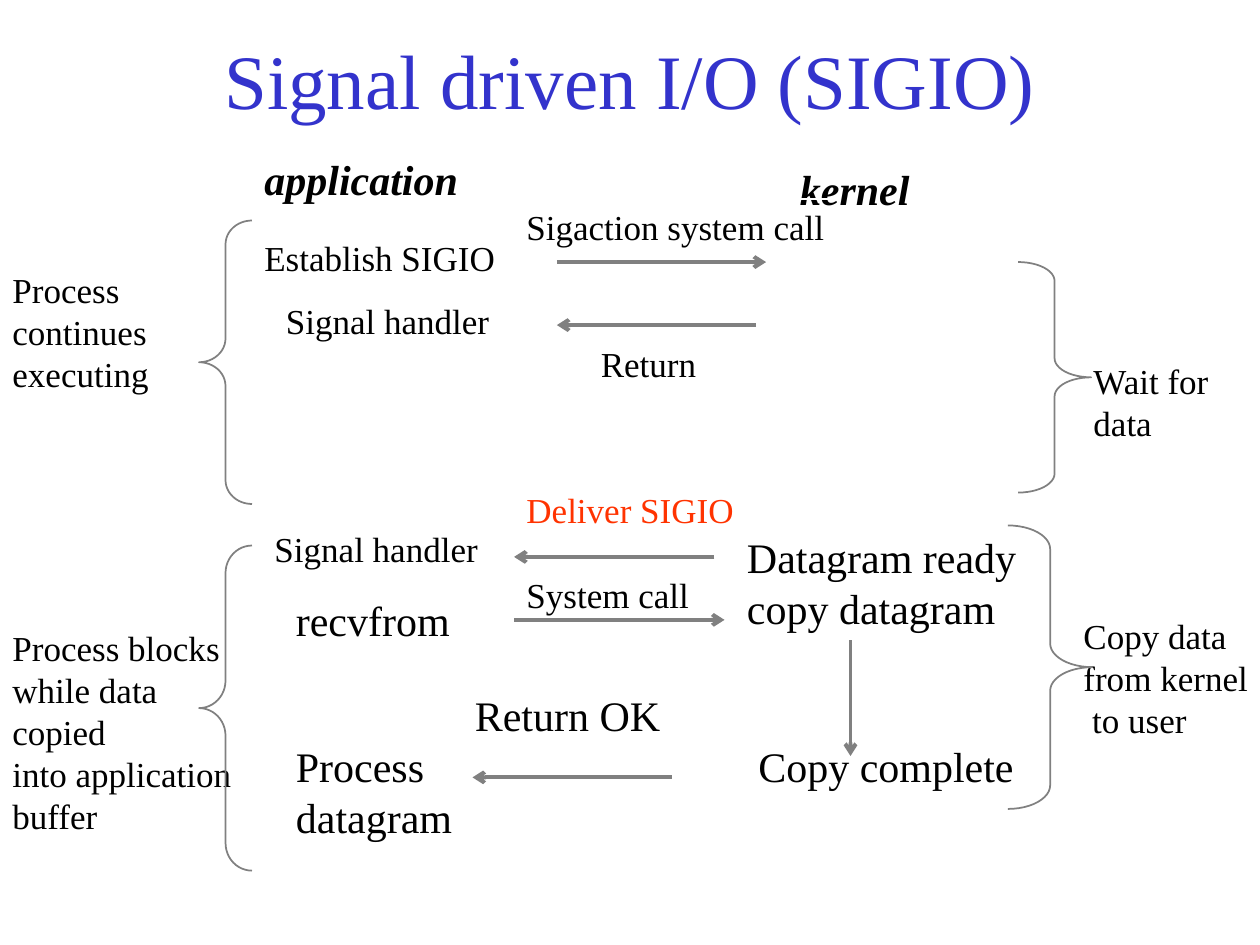
from dataclasses import dataclass

from lxml.etree import SubElement
from pptx import Presentation
from pptx.dml.color import RGBColor
from pptx.enum.shapes import MSO_CONNECTOR as Connector, MSO_SHAPE as Shape
from pptx.enum.text import MSO_ANCHOR as Anchor, MSO_AUTO_SIZE as AutoSize, PP_ALIGN as Align
from pptx.oxml.ns import qn
from pptx.util import Inches, Pt


@dataclass(frozen=True)
class Theme:
    font: str = "Times New Roman"
    title_color: RGBColor = RGBColor(0x33, 0x33, 0xCC)
    text_color: RGBColor = RGBColor(0, 0, 0)
    alert_color: RGBColor = RGBColor(0xFF, 0x33, 0)
    line_color: RGBColor = RGBColor(0x80, 0x80, 0x80)
    border_color: RGBColor = RGBColor(0xFF, 0xFF, 0xFF)
    title_size: int = 44
    large: int = 24
    small: int = 20
    thin: float = 1
    thick: float = 2.25


THEME = Theme()
HEADING = {"bold": True, "italic": True}
ALERT = {"color": THEME.alert_color}

# left, top, width, size, text, extra format
LABELS = [
    (2, 1.17, 1.75, THEME.large, "application", HEADING),
    (6.25, 1.25, 1.09, THEME.large, "kernel", HEADING),
    (4.08, 1.58, 2.57, THEME.small, "Sigaction system call", {}),
    (2, 1.83, 2.04, THEME.small, "Establish SIGIO", {}),
    (2.17, 2.33, 1.82, THEME.small, "Signal handler", {}),
    (4.67, 2.67, 1.04, THEME.small, "Return", {}),
    (4.08, 3.83, 1.9, THEME.small, "Deliver SIGIO", ALERT),
    (2.08, 4.14, 1.82, THEME.small, "Signal handler", {}),
    (5.83, 4.17, 2.35, THEME.large, "Datagram ready\ncopy datagram", {}),
    (4.08, 4.5, 1.5, THEME.small, "System call", {}),
    (2.25, 4.67, 1.44, THEME.large, "recvfrom", {}),
    (3.67, 5.42, 1.69, THEME.large, "Return OK", {}),
    (2.25, 5.83, 1.45, THEME.large, "Process\ndatagram", {}),
    (5.92, 5.83, 2.24, THEME.large, "Copy complete", {}),
    (0, 2.08, 1.35, THEME.small, "Process\ncontinues\nexecuting", {}),
    (0, 4.92, 1.95, THEME.small,
     "Process blocks\nwhile data\ncopied\ninto application\nbuffer", {}),
    (8.58, 2.8, 1.22, THEME.small, "Wait for\ndata", {}),
    (8.5, 4.83, 1.52, THEME.small, "Copy data\nfrom kernel\n to user", {}),
]

# preset, left, top, width, height, curl
BRACES = [
    (Shape.LEFT_BRACE, 1.58, 1.75, 0.42, 2.25, 0.45),
    (Shape.LEFT_BRACE, 1.58, 4.33, 0.42, 2.58, 0.52),
    (Shape.RIGHT_BRACE, 8.08, 2.08, 0.58, 1.83, 0.26),
    (Shape.RIGHT_BRACE, 8, 4.17, 0.67, 2.25, 0.28),
]

# start x, start y, end x, end y
ARROWS = [
    (4.42, 2.08, 6.08, 2.08),
    (6, 2.58, 4.42, 2.58),
    (5.67, 4.42, 4.08, 4.42),
    (4.08, 4.92, 5.75, 4.92),
    (6.75, 5.08, 6.75, 6),
    (5.33, 6.17, 3.75, 6.17),
]


def write_text(shape, text, size, color=THEME.text_color, align=Align.LEFT, **extra):
    shape.text_frame.text = text
    font_format = {"name": THEME.font, "size": Pt(size), **extra}
    for paragraph in shape.text_frame.paragraphs:
        paragraph.alignment = align
        for run in paragraph.runs:
            run.font.color.rgb = color
            for name, value in font_format.items():
                setattr(run.font, name, value)


def set_line(line, color, width):
    line.color.rgb = color
    line.width = Pt(width)


def add_outline(slide, preset, box, color):
    shape = slide.shapes.add_shape(preset, *map(Inches, box))
    shape.shadow.inherit = False
    shape.fill.background()
    set_line(shape.line, color, THEME.thin)
    return shape


def add_title(slide, text):
    title = slide.shapes.add_textbox(Inches(0.75), Inches(0.25), Inches(8.5), Inches(0.75))
    title.text_frame.word_wrap = True
    title.text_frame.vertical_anchor = Anchor.MIDDLE
    write_text(title, text, THEME.title_size, THEME.title_color, Align.CENTER)


def add_label(slide, left, top, width, size, text, extra):
    """Add a white-bordered label whose height follows its line count."""
    height = 0.11 + len(text.split("\n")) * size / 60
    label = add_outline(slide, Shape.RECTANGLE, (left, top, width, height), THEME.border_color)
    frame_format = {"word_wrap": False, "auto_size": AutoSize.SHAPE_TO_FIT_TEXT,
                    "vertical_anchor": Anchor.TOP}
    for name, value in frame_format.items():
        setattr(label.text_frame, name, value)
    write_text(label, text, size, **extra)


def add_brace(slide, preset, left, top, width, height, curl):
    brace = add_outline(slide, preset, (left, top, width, height), THEME.line_color)
    brace.adjustments[0] = curl


def add_arrow(slide, *ends):
    arrow = slide.shapes.add_connector(Connector.STRAIGHT, *map(Inches, ends))
    set_line(arrow.line, THEME.line_color, THEME.thick)
    properties = arrow.element.spPr
    SubElement(properties.find(qn("a:ln")), qn("a:tailEnd"), type="arrow")
    SubElement(properties, qn("a:effectLst"))


def main():
    presentation = Presentation()
    presentation.slide_width = Inches(10)
    presentation.slide_height = Inches(7.5)
    slide = presentation.slides.add_slide(presentation.slide_layouts[6])
    add_title(slide, "Signal driven I/O (SIGIO)")
    for add_element, rows in ((add_label, LABELS), (add_brace, BRACES), (add_arrow, ARROWS)):
        for row in rows:
            add_element(slide, *row)
    presentation.save("out.pptx")


if __name__ == "__main__":
    main()
